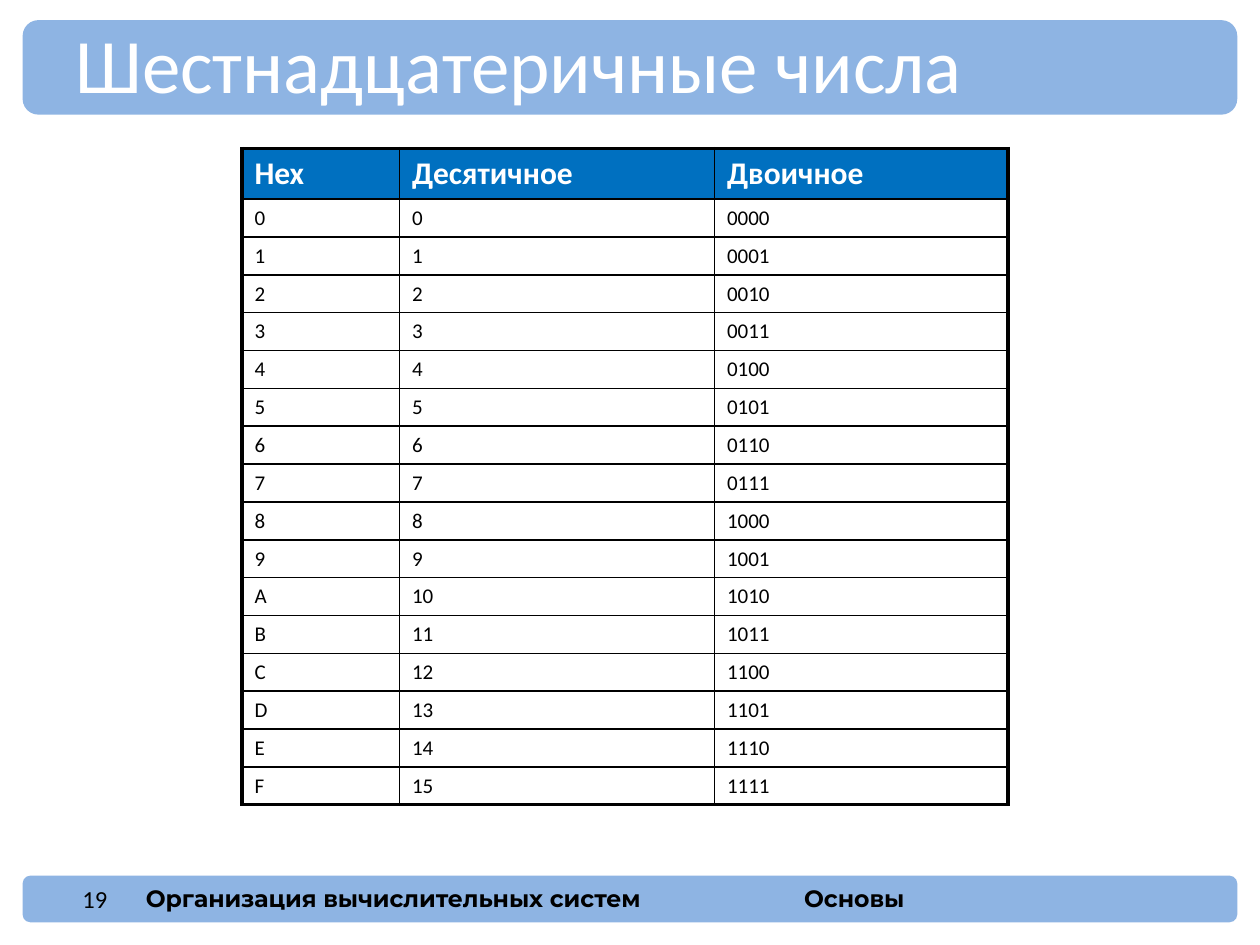
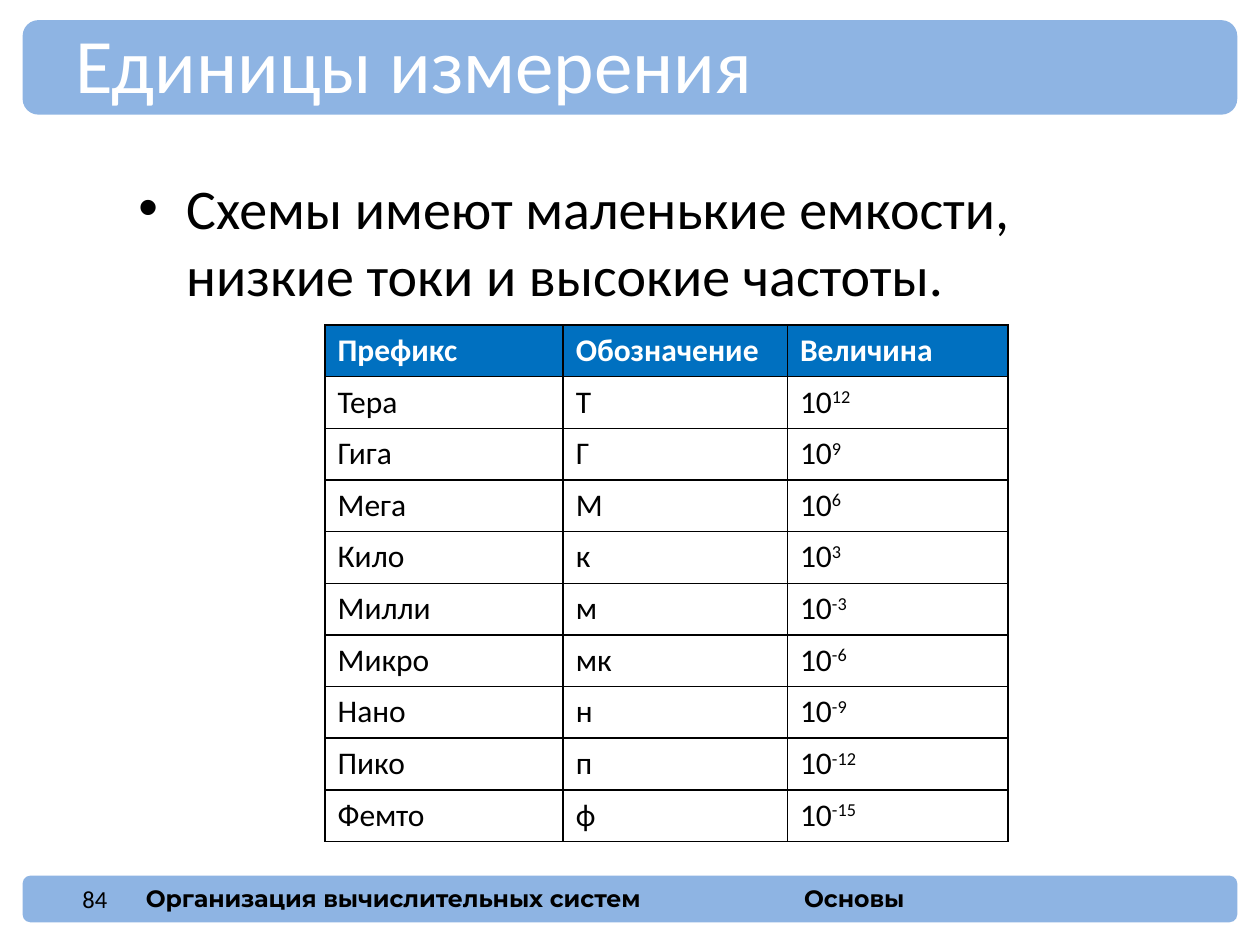
import pptx
import pptx.dml.color
import pptx.enum.shapes
import pptx.enum.text
import pptx.oxml.ns
import pptx.util
from lxml import etree

Inches, Pt = pptx.util.Inches, pptx.util.Pt
RGBColor = pptx.dml.color.RGBColor
PP_ALIGN = pptx.enum.text.PP_ALIGN
qn = pptx.oxml.ns.qn

BAND = RGBColor(0x8E, 0xB4, 0xE3)
HEADER = RGBColor(0x00, 0x70, 0xC0)
WHITE = RGBColor(0xFF, 0xFF, 0xFF)
BLACK = RGBColor(0x00, 0x00, 0x00)

BANDS = [(0.16, 0.75), (6.95, 0.37)]  # top, height
FOOTERS = [
    ("Организация вычислительных систем", 1.06, 4.44, PP_ALIGN.LEFT),
    ("Основы", 4.25, 5.06, PP_ALIGN.CENTER),
]

HEX_ROWS = [("Hex", "Десятичное", "Двоичное")]
HEX_ROWS += [(f"{n:X}", str(n), f"{n:04b}") for n in range(16)]

# A caret marks the start of a superscript.
UNIT_ROWS = [
    ("Префикс", "Обозначение", "Величина"),
    ("Тера", "Т", "10^12"),
    ("Гига", "Г", "10^9"),
    ("Мега", "М", "10^6"),
    ("Кило", "к", "10^3"),
    ("Милли", "м", "10^-3"),
    ("Микро", "мк", "10^-6"),
    ("Нано", "н", "10^-9"),
    ("Пико", "п", "10^-12"),
    ("Фемто", "ф", "10^-15"),
]

SLIDES = [
    dict(title="Шестнадцатеричные числа", number="19", bullet=None,
         rows=HEX_ROWS, left=1.92, top=1.18, widths=(1.25, 2.5, 2.33),
         header_height=0.4, row_height=0.3, size=12, outline=2.25),
    dict(title="Единицы измерения", number="84",
         bullet="Схемы имеют маленькие емкости, низкие токи и высокие частоты.",
         rows=UNIT_ROWS, left=2.58, top=2.58, widths=(1.89, 1.78, 1.75),
         header_height=0.41, row_height=0.41, size=18, outline=1),
]


def add_text(s, text, left, top, width, height, size, color=BLACK,
             font="Calibri", bold=False, align=PP_ALIGN.LEFT):
    """Add a one-paragraph text box and return the paragraph."""
    tf = s.shapes.add_textbox(Inches(left), Inches(top),
                              Inches(width), Inches(height)).text_frame
    tf.word_wrap = True
    p = tf.paragraphs[0]
    p.text = text
    p.alignment = align
    p.font.name, p.font.size, p.font.bold = font, Pt(size), bold
    p.font.color.rgb = color
    return p


def add_border(cell, side, width):
    ln = etree.SubElement(cell._tc.get_or_add_tcPr(), qn(f"a:ln{side}"),
                          w=str(Pt(width)))
    fill = etree.SubElement(ln, qn("a:solidFill"))
    etree.SubElement(fill, qn("a:srgbClr"), val=str(BLACK))


prs = pptx.Presentation()
prs.slide_width, prs.slide_height = Inches(10), Inches(7.5)

for content in SLIDES:
    s = prs.slides.add_slide(prs.slide_layouts[6])

    # Bands, title and footer
    for top, height in BANDS:
        sp = s.shapes.add_shape(
            pptx.enum.shapes.MSO_SHAPE.ROUNDED_RECTANGLE,
            Inches(0.18), Inches(top), Inches(9.64), Inches(height))
        sp.shadow.inherit = False
        sp.fill.solid()
        sp.fill.fore_color.rgb = BAND
        sp.line.fill.background()
    for text, left, width, align in FOOTERS:
        add_text(s, text, left, 6.97, width, 0.33, 13.5,
                 font="Montserrat", bold=True, align=align)
    add_text(s, content["number"], -0.95, 6.97, 1.9, 0.34, 14,
             align=PP_ALIGN.RIGHT)
    add_text(s, content["title"], 0.5, 0.08, 8.67, 0.84, 44, WHITE)

    if content["bullet"]:
        p = add_text(s, content["bullet"], 1, 1.33, 8.5, 1.2, 32)
        pPr = p._p.get_or_add_pPr()
        pPr.set("marL", str(Inches(0.38)))
        pPr.set("indent", str(Inches(-0.38)))
        bullet_font = etree.Element(qn("a:buFont"), typeface="Arial")
        bullet_char = etree.Element(qn("a:buChar"), char="•")
        pPr.insert(0, bullet_font)
        pPr.insert(1, bullet_char)

    # Table
    rows, widths = content["rows"], content["widths"]
    heights = [content["header_height"]]
    heights += [content["row_height"]] * (len(rows) - 1)
    table = s.shapes.add_table(
        len(rows), len(widths), Inches(content["left"]), Inches(content["top"]),
        Inches(sum(widths)), Inches(sum(heights))).table
    table.first_row = table.horz_banding = False
    for column, width in zip(table.columns, widths):
        column.width = Inches(width)
    last_row, last_column = len(rows) - 1, len(widths) - 1

    for i, row in enumerate(rows):
        table.rows[i].height = Inches(heights[i])
        for j, text in enumerate(row):
            cell = table.cell(i, j)
            outer = {"L": j == 0, "R": j == last_column,
                     "T": i == 0, "B": i == last_row}
            for side, is_outer in outer.items():
                add_border(cell, side, content["outline"] if is_outer else 1)
            if i == 0:
                cell.fill.solid()
                cell.fill.fore_color.rgb = HEADER
            else:
                cell.fill.background()

            p = cell.text_frame.paragraphs[0]
            p.font.name = "Calibri"
            p.font.size = Pt(18 if i == 0 else content["size"])
            p.font.bold = i == 0
            p.font.color.rgb = WHITE if i == 0 else BLACK
            base, _, exponent = text.partition("^")
            p.add_run().text = base
            if exponent:
                r = p.add_run()
                r.text = exponent
                r._r.get_or_add_rPr().set("baseline", "30000")

prs.save("out.pptx")
